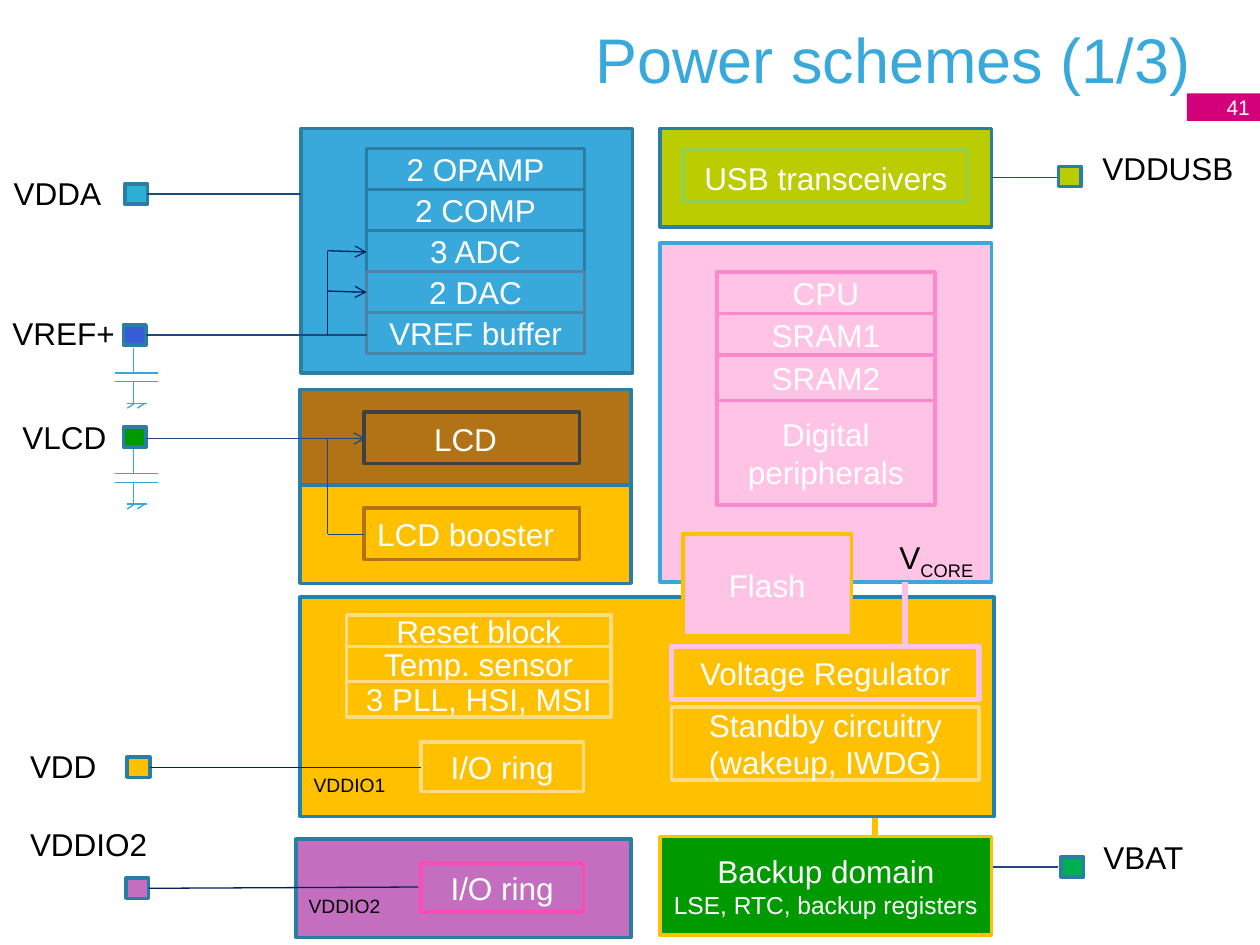
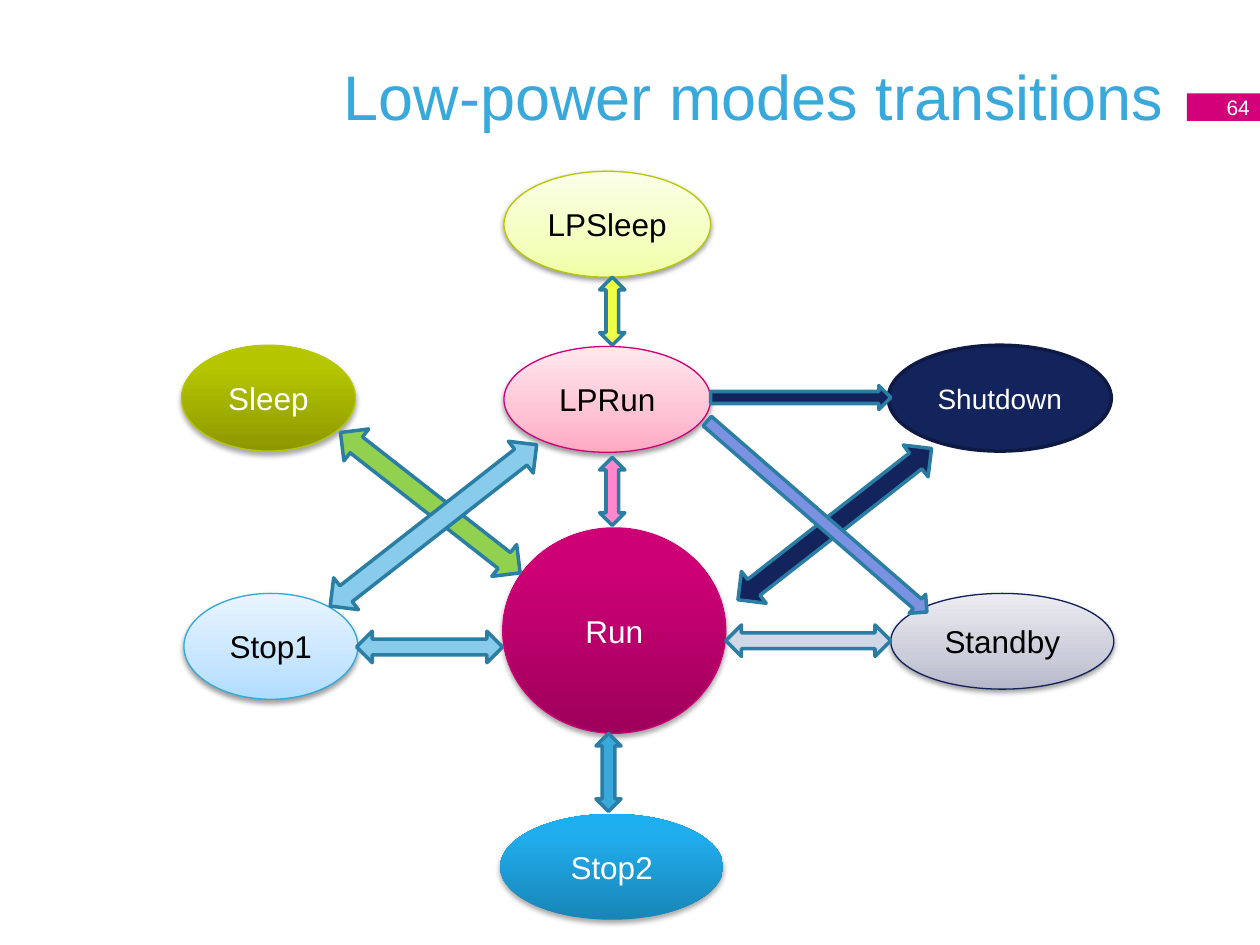
from copy import deepcopy
from dataclasses import dataclass

from lxml.etree import SubElement
from pptx import Presentation
from pptx.dml.color import RGBColor
from pptx.enum.shapes import MSO_CONNECTOR, MSO_SHAPE
from pptx.enum.text import MSO_ANCHOR, MSO_AUTO_SIZE, PP_ALIGN
from pptx.oxml.ns import qn
from pptx.util import Inches, Pt


@dataclass(frozen=True)
class Theme:
    font: str = "Arial"
    title_size: int = 36
    body_size: int = 18
    mode_size: int = 16
    detail_size: int = 14
    page_size: int = 12
    note_size: int = 11
    white: str = "FFFFFF"
    black: str = "000000"
    sky: str = "39A9DC"
    magenta: str = "D4007A"
    edge: str = "2A7DA3"
    steel: str = "4D82A9"
    supply_edge: str = "1F83B1"
    amber: str = "FFC000"
    cream: str = "FBDC85"
    brown: str = "B27316"
    charcoal: str = "404040"
    lime: str = "BBCC00"
    leaf: str = "92D050"
    green: str = "009900"
    battery: str = "00B050"
    blush: str = "FFC3E6"
    pink: str = "FF88CC"
    hot_pink: str = "FF4CB3"
    orchid: str = "C46EC0"
    cyan: str = "2DB0D5"
    royal: str = "385BD6"
    capacitor: str = "34A7DB"
    wire: str = "1F497D"
    dark_wire: str = "002060"
    navy: str = "13235B"
    navy_edge: str = "0E1A43"
    ice: str = "88CBEA"
    mist: str = "D0D8E8"
    lemon: str = "F0FF47"
    periwinkle: str = "7B92E3"


theme = Theme()
deck = Presentation()
deck.slide_width, deck.slide_height = Inches(10), Inches(7.5)
COLUMN = deck.slide_width / 100
ROW = deck.slide_height / 75


def block(slide, kind, box, text="", fill=None, line=None, weight=2,
          size=theme.body_size, color=theme.white):
    left, top, width, height = box
    shape = slide.shapes.add_shape(kind, int(left * COLUMN), int(top * ROW),
                                   int(width * COLUMN), int(height * ROW))
    shape.shadow.inherit = False
    if fill:
        shape.fill.solid()
        shape.fill.fore_color.rgb = RGBColor.from_string(fill)
    else:
        shape.fill.background()
    if line:
        shape.line.color.rgb = RGBColor.from_string(line)
        shape.line.width = Pt(weight)
    else:
        shape.line.fill.background()
    if text:
        shape.text_frame.text = text
        shape.text_frame.vertical_anchor = MSO_ANCHOR.MIDDLE
        for paragraph in shape.text_frame.paragraphs:
            paragraph.alignment = PP_ALIGN.CENTER
            paragraph.font.name = theme.font
            paragraph.font.size = Pt(size)
            paragraph.font.color.rgb = RGBColor.from_string(color)
    return shape


def wire(slide, start, end, color, weight=0.75, arrow=False):
    connector = slide.shapes.add_connector(
        MSO_CONNECTOR.STRAIGHT, int(start[0] * COLUMN), int(start[1] * ROW),
        int(end[0] * COLUMN), int(end[1] * ROW))
    connector.line.color.rgb = RGBColor.from_string(color)
    connector.line.width = Pt(weight)
    properties = connector._element.spPr
    if arrow:
        SubElement(properties.find(qn("a:ln")), qn("a:tailEnd"), type="arrow")
    SubElement(properties, qn("a:effectLst"))


slides = []
for heading, left, top, page in [
    ("Power schemes (1/3)", 7.2, -1.6, "41"),
    ("Low-power modes transitions", 5, 1.3, "64"),
]:
    slide = deck.slides.add_slide(deck.slide_layouts[5])
    title = slide.shapes.title
    title.left, title.top = int(left * COLUMN), int(top * ROW)
    title.width, title.height = int(88.3 * COLUMN), int(12.5 * ROW)
    title.text_frame.text = heading
    title.text_frame.auto_size = MSO_AUTO_SIZE.NONE
    title.text_frame.vertical_anchor = MSO_ANCHOR.MIDDLE
    paragraph = title.text_frame.paragraphs[0]
    paragraph.alignment = PP_ALIGN.RIGHT
    paragraph.font.name = theme.font
    paragraph.font.size = Pt(theme.title_size)
    paragraph.font.color.rgb = RGBColor.from_string(theme.sky)
    page_tab = block(slide, MSO_SHAPE.RECTANGLE, (94.2, 7.4, 5.8, 2.2), page,
                     theme.magenta, size=theme.page_size)
    page_tab.text_frame.margin_right = Inches(0.08)
    page_tab.text_frame.paragraphs[0].alignment = PP_ALIGN.RIGHT
    slides.append(slide)

power, modes = slides

for box, text, fill, line in [
    ((23.8, 30.9, 26.3, 7.8), "LCD", theme.brown, theme.edge),
    ((23.9, 10.2, 26.3, 19.4), "", theme.sky, theme.edge),
    ((23.8, 38.5, 26.3, 7.8), "LCD booster", theme.amber, theme.edge),
    ((52.4, 10.2, 26.3, 7.8), "USB transceivers", theme.lime, theme.edge),
    ((52.4, 19.3, 26.3, 26.9), "", theme.blush, theme.sky),
    ((23.8, 47.4, 55.1, 17.4), "", theme.amber, theme.supply_edge),
    ((23.5, 66.6, 26.6, 7.8), "", theme.orchid, theme.edge),
    ((54.2, 42.4, 13.4, 8.1), "Flash", theme.blush, theme.amber),
    ((28.9, 32.7, 17.1, 4.1), "", None, theme.charcoal),
    ((28.9, 40.3, 17.1, 4.1), "", None, theme.brown),
    ((54.2, 11.9, 22.6, 4.1), "", None, theme.leaf),
    ((33.4, 58.9, 12.9, 3.9), "I/O ring", None, theme.cream),
    ((33.4, 68.5, 12.9, 3.9), "I/O ring", None, theme.hot_pink),
    ((53.3, 56.1, 24.4, 5.8), "Standby circuitry (wakeup, IWDG)", None, theme.cream),
]:
    block(power, MSO_SHAPE.RECTANGLE, box, text, fill, line)

block(power, MSO_SHAPE.RECTANGLE, (53.3, 51.3, 24.4, 4.2), "Voltage Regulator",
      line=theme.blush, weight=3)
backup = block(power, MSO_SHAPE.RECTANGLE, (52.4, 66.4, 26.3, 7.8),
               "Backup domain\nLSE, RTC, backup registers", theme.green, theme.amber)
backup.text_frame.paragraphs[1].font.size = Pt(theme.detail_size)
block(power, MSO_SHAPE.FLOWCHART_PROCESS, (69.2, 64.9, 0.5, 1.6), fill=theme.amber)

for left, top, width, line, modules in [
    (29.1, 11.8, 17.3, theme.edge, [("2 OPAMP", 3.25), ("2 COMP", 3.25), ("3 ADC", 3.25)]),
    (29.1, 21.55, 17.3, theme.steel, [("2 DAC", 3.25), ("VREF buffer", 3.25)]),
    (56.9, 21.6, 17.3, theme.pink,
     [("CPU", 3.3), ("SRAM1", 3.3), ("SRAM2", 3.6), ("Digital peripherals", 8.3)]),
    (27.5, 48.8, 21, theme.cream,
     [("Reset block", 2.5), ("Temp. sensor", 2.8), ("3 PLL, HSI, MSI", 2.8)]),
]:
    for module, height in modules:
        block(power, MSO_SHAPE.RECTANGLE, (left, top, width, height), module, line=line)
        top += height

for left, top, fill in [
    (9.9, 14.6, theme.cyan), (9.8, 25.8, theme.royal), (9.8, 33.9, theme.green),
    (10.1, 60.1, theme.amber), (10, 69.7, theme.orchid),
    (84, 13.2, theme.lime), (84.2, 68, theme.battery),
]:
    block(power, MSO_SHAPE.RECTANGLE, (left, top, 1.8, 1.6), fill=fill, line=theme.edge)

for start, end, color, arrow in [
    ((11.7, 15.4), (23.9, 15.4), theme.wire, False),
    ((11.6, 26.6), (29.1, 26.6), theme.wire, False),
    ((26, 26.6), (26, 19.9), theme.dark_wire, False),
    ((26, 19.9), (29.1, 20), theme.dark_wire, True),
    ((26, 23.1), (29.1, 23.2), theme.dark_wire, True),
    ((11.6, 34.8), (29, 34.8), theme.wire, True),
    ((28.9, 42.4), (26, 42.4), theme.wire, False),
    ((26, 42.4), (26, 34.8), theme.wire, False),
    ((33.4, 60.9), (11.9, 60.9), theme.dark_wire, False),
    ((33.2, 70.4), (11.8, 70.5), theme.dark_wire, False),
    ((83.9, 14.1), (78.7, 14.1), theme.wire, False),
    ((84, 68.8), (78.8, 68.8), theme.wire, False),
]:
    wire(power, start, end, color, arrow=arrow)
wire(power, (71.8, 51.3), (71.8, 46.2), theme.blush, weight=3.25)

for top in (27.6, 35.6):
    for x1, y1, x2, y2 in [
        (10.6, 0, 10.6, 2), (9.1, 2, 12.5, 2), (9.1, 2.7, 12.5, 2.7),
        (10.6, 2.7, 10.6, 4.4), (10.1, 4.4, 11.7, 4.4),
        (10.7, 4.4, 10.1, 4.8), (11.5, 4.4, 10.9, 4.8),
    ]:
        wire(power, (x1, top + y1), (x2, top + y2), theme.capacitor)

for label, subscript, left, top, width, size in [
    ("VDDA", "", 0.1, 13.3, 9, theme.body_size),
    ("VREF+", "", 0, 24.4, 10.2, theme.body_size),
    ("VLCD", "", 0.8, 32.7, 8.8, theme.body_size),
    ("VDD", "", 1.4, 58.8, 7.3, theme.body_size),
    ("VDDIO2", "", 1.4, 65, 11.4, theme.body_size),
    ("VDDUSB", "", 86.5, 11.3, 12.5, theme.body_size),
    ("VBAT", "", 86.6, 66, 8.4, theme.body_size),
    ("V", "CORE", 70.4, 42.2, 10.9, theme.body_size),
    ("VDDIO1", "", 23.9, 60.9, 7.8, theme.note_size),
    ("VDDIO2", "", 23.5, 70.5, 7.8, theme.note_size),
]:
    height = 4 if size == theme.body_size else 2.9
    caption = power.shapes.add_textbox(int(left * COLUMN), int(top * ROW),
                                       int(width * COLUMN), int(height * ROW))
    caption.text_frame.word_wrap = bool(subscript)
    paragraph = caption.text_frame.paragraphs[0]
    paragraph.add_run().text = label
    if subscript:
        lowered = paragraph.add_run()
        lowered.text = subscript
        lowered._r.get_or_add_rPr().set("baseline", "-25000")
    paragraph.font.name = theme.font
    paragraph.font.size = Pt(size)
    paragraph.font.color.rgb = RGBColor.from_string(theme.black)

for mode, box, line, color, middle, gradient in [
    ("LPSleep", (40, 13.6, 16.4, 8.4), "B7C800", theme.black, 35, ("F0FFA5", "F4FFBF", "FBFFE7")),
    ("LPRun", (40, 27.5, 16.4, 8.4), "CF0077", theme.black, 35, ("FFA8C3", "FFC2D4", "FFE8EE")),
    ("Run", (39.9, 41.9, 17.7, 16.3), "CF0077", theme.white, 80, ("9E005B", "CD0076", "CE0077")),
    ("Stop2", (39.7, 64.6, 17.7, 8.4), None, theme.white, 80, ("1885B6", "20ADED", "1CAFF2")),
    ("Stop1", (14.6, 47.1, 13.8, 8.4), "34A7DB", theme.black, 35, ("AFDCFF", "C6E5FF", "E9F5FF")),
    ("Sleep", (14.4, 27.4, 13.8, 8.4), "B7C800", theme.white, 80, ("8C9800", "B5C600", "B6C700")),
    ("Standby", (70.7, 47.1, 17.7, 7.6), "11215B", theme.black, 35, ("B6B8CB", "CCCDDA", "ECECF1")),
]:
    bubble = block(modes, MSO_SHAPE.OVAL, box, mode, line=line, weight=0.75, color=color)
    bubble.fill.gradient()
    bubble.fill.gradient_angle = 90
    properties = bubble._element.spPr
    stop_list = properties.find(".//" + qn("a:gsLst"))
    stop_list.append(deepcopy(stop_list[0]))
    for stop, position, shade in zip(bubble.fill.gradient_stops, (0, middle, 100), gradient):
        stop.position = position / 100
        stop.color.rgb = RGBColor.from_string(shade)
    light = middle == 35
    shadow = SubElement(properties.find(qn("a:effectLst")), qn("a:outerShdw"),
                        blurRad=str(Pt(3.1)), dist=str(Pt(1.6 if light else 1.8)),
                        dir="5400000", rotWithShape="0")
    shadow_color = SubElement(shadow, qn("a:srgbClr"), val=theme.black)
    SubElement(shadow_color, qn("a:alpha"), val="38000" if light else "35000")

block(modes, MSO_SHAPE.OVAL, (70.5, 27.4, 17.7, 8.4), "Shutdown", theme.navy,
      theme.navy_edge, size=theme.mode_size)

for kind, box, rotation, fill in [
    (MSO_SHAPE.LEFT_RIGHT_ARROW, (28.3, 50.1, 11.6, 2.5), 0, theme.ice),
    (MSO_SHAPE.LEFT_RIGHT_ARROW, (25.1, 38.3, 18.1, 3.2), 38, theme.leaf),
    (MSO_SHAPE.LEFT_RIGHT_ARROW, (56.5, 40, 19.5, 3.2), 322, theme.navy),
    (MSO_SHAPE.LEFT_RIGHT_ARROW, (57.6, 49.6, 13.1, 2.5), 0, theme.mist),
    (MSO_SHAPE.UP_DOWN_ARROW, (47.6, 22, 2, 5.4), 0, theme.lemon),
    (MSO_SHAPE.UP_DOWN_ARROW, (47.6, 36.3, 2, 5.4), 0, theme.pink),
    (MSO_SHAPE.LEFT_RIGHT_ARROW, (24, 40.1, 20.8, 3.2), 322, theme.ice),
    (MSO_SHAPE.UP_DOWN_ARROW, (47.3, 58.2, 2, 6.2), 0, theme.sky),
    (MSO_SHAPE.RIGHT_ARROW, (56.4, 30.6, 14.3, 1.9), 0, theme.navy),
    (MSO_SHAPE.RIGHT_ARROW, (53.3, 40, 23.1, 2), 41, theme.periwinkle),
]:
    transition = block(modes, kind, box, fill=fill, line=theme.edge)
    transition.rotation = rotation

deck.save("out.pptx")
